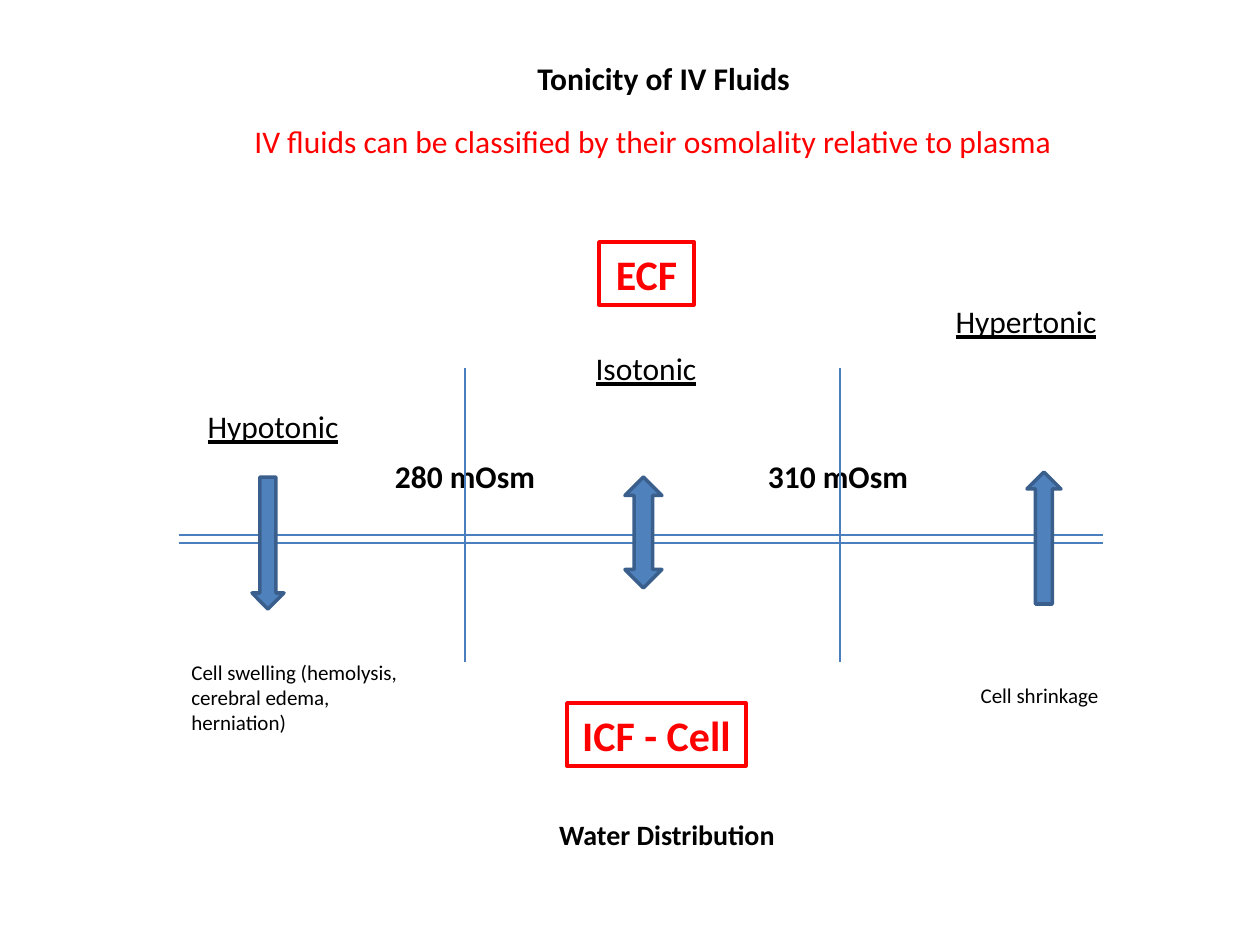
from lxml.etree import SubElement
from pptx import Presentation
from pptx.dml.color import RGBColor
from pptx.enum.shapes import MSO_CONNECTOR, MSO_SHAPE
from pptx.enum.text import MSO_ANCHOR, MSO_AUTO_SIZE, PP_ALIGN
from pptx.oxml.ns import qn
from pptx.util import Emu, Pt

PX_PER_INCH = 126
BLACK = RGBColor(0x00, 0x00, 0x00)
RED = RGBColor(0xFF, 0x00, 0x00)
BLUE = RGBColor(0x4F, 0x81, 0xBD)
DARK_BLUE = RGBColor(0x3A, 0x5F, 0x8C)
LINE_BLUE = RGBColor(0x4B, 0x7E, 0xBC)

LABEL = {"size": Pt(18), "underline": True}
HEADING = {"size": Pt(18), "bold": True}
NOTE = {"size": Pt(12)}
FOOTER = {"size": Pt(16), "bold": True}
COMPARTMENT = {"size": Pt(24), "bold": True}


def px(n):
    return Emu(round(n * 914400 / PX_PER_INCH))


def write_text(s, text, font, color=BLACK, align=PP_ALIGN.CENTER):
    tf = s.text_frame
    tf.word_wrap = True
    tf.auto_size = MSO_AUTO_SIZE.SHAPE_TO_FIT_TEXT
    tf.vertical_anchor = MSO_ANCHOR.TOP
    p = tf.paragraphs[0]
    p.alignment = align
    r = p.add_run()
    r.text = text
    r.font.name = "Calibri"
    r.font.color.rgb = color
    for name, value in font.items():
        setattr(r.font, name, value)


def add_text(slide, box, text, font, **style):
    s = slide.shapes.add_textbox(*map(px, box))
    write_text(s, text, font, **style)


def add_outlined(slide, kind, box, color):
    s = slide.shapes.add_shape(kind, *map(px, box))
    s.shadow.inherit = False
    s.line.color.rgb = color
    s.line.width = Pt(2)
    return s


def add_compartment(slide, box, text):
    s = add_outlined(slide, MSO_SHAPE.RECTANGLE, box, RED)
    s.fill.background()
    write_text(s, text, COMPARTMENT, RED)


def add_arrow(slide, kind, box):
    s = add_outlined(slide, kind, box, DARK_BLUE)
    s.fill.solid()
    s.fill.fore_color.rgb = BLUE


def add_line(slide, x1, y1, x2, y2):
    c = slide.shapes.add_connector(MSO_CONNECTOR.STRAIGHT, px(x1), px(y1), px(x2), px(y2))
    c.line.color.rgb = LINE_BLUE
    c.line.width = Pt(0.75)
    SubElement(c._element.spPr, qn("a:effectLst"))


def main():
    prs = Presentation()
    prs.slide_width, prs.slide_height = px(1260), px(945)
    slide = prs.slides.add_slide(prs.slide_layouts[6])

    add_text(slide, (525, 53, 294, 53), "Tonicity of IV Fluids", HEADING, align=PP_ALIGN.LEFT)
    add_text(slide, (242, 116, 861, 53),
             "IV fluids can be classified by their osmolality relative to plasma",
             {"size": Pt(18)}, color=RED, align=PP_ALIGN.LEFT)

    add_compartment(slide, (599, 242, 95, 63), "ECF")
    add_compartment(slide, (567, 703, 179, 63), "ICF - Cell")

    for x, y, text in ((189, 401, "Hypotonic"), (562, 343, "Isotonic"), (942, 296, "Hypertonic")):
        add_text(slide, (x, y, 168, 50), text, LABEL)

    # Cell membrane
    for y in (535, 543):
        add_line(slide, 179, y, 1103, y)

    # Osmolality limits
    for x, text in ((465, "280 mOsm"), (840, "310 mOsm")):
        left = 368 if x == 465 else 741
        add_text(slide, (left, 451, 194, 50), text, HEADING)
        add_line(slide, x, 368, x, 662)

    # Direction of water movement
    for kind, box in (
        (MSO_SHAPE.DOWN_ARROW, (252, 477, 32, 132)),
        (MSO_SHAPE.UP_DOWN_ARROW, (625, 477, 37, 111)),
        (MSO_SHAPE.UP_ARROW, (1027, 472, 34, 132)),
    ):
        add_arrow(slide, kind, box)

    add_text(slide, (179, 653, 231, 89), "Cell swelling (hemolysis, cerebral edema, herniation)",
             NOTE, align=PP_ALIGN.LEFT)
    add_text(slide, (924, 676, 231, 38), "Cell shrinkage", NOTE)
    add_text(slide, (462, 811, 410, 47), "Water Distribution", FOOTER)

    prs.save("out.pptx")


if __name__ == "__main__":
    main()
